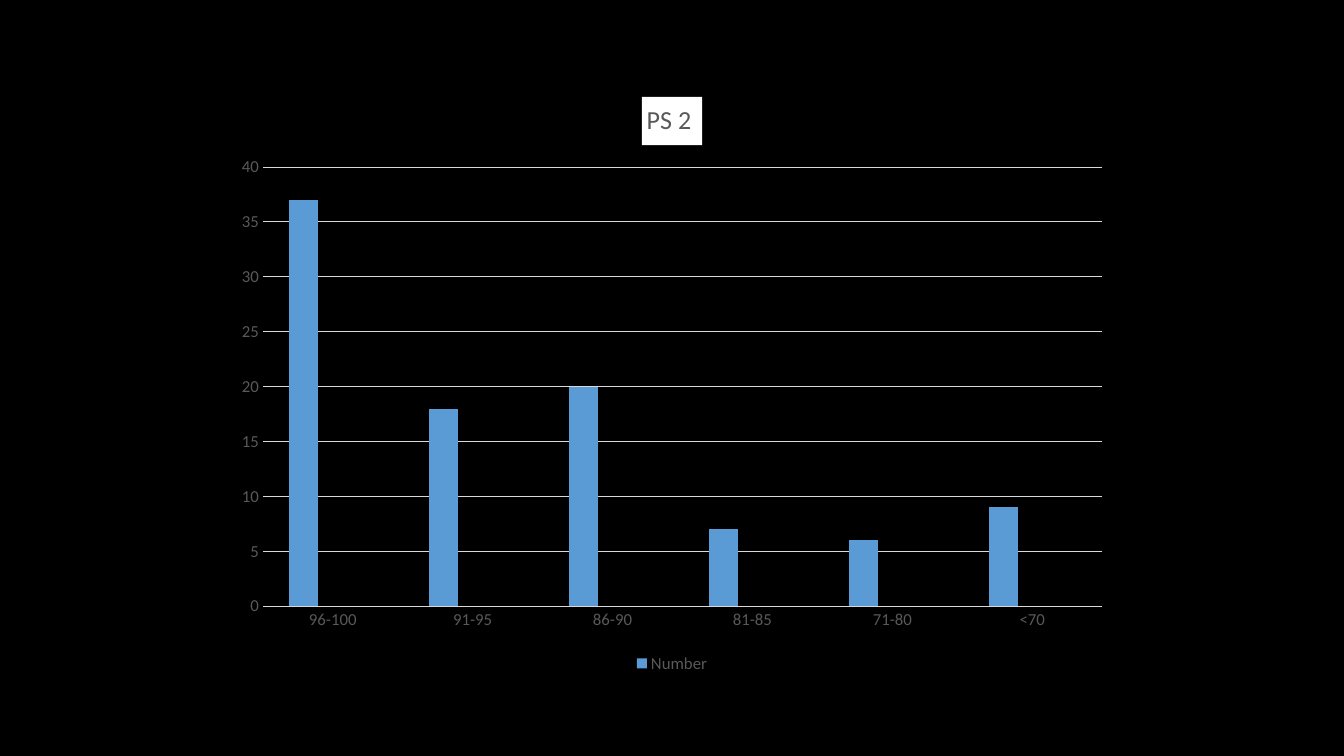
"""Build a slide with a column chart of PS 2 scores."""
import pptx
import pptx.chart.data
import pptx.dml.color
import pptx.enum.chart
import pptx.oxml
import pptx.util
from pptx.util import Inches

HUES = {"back": "000000", "text": "595959", "line": "D9D9D9", "title": "FFFFFF",
        "Number": "5B9BD5", "Series 2": "ED7D31", "Series 3": "A5A5A5"}
SCORES = {"96-100": 37, "91-95": 18, "86-90": 20, "81-85": 7, "71-80": 6, "<70": 9}


def paint(fill, hue):
    fill.solid()
    fill.fore_color.rgb = pptx.dml.color.RGBColor.from_string(HUES[hue])


def style(font, text=None, para=None, size=12, hue="text"):
    """Format a font, or a new run of text in a paragraph."""
    if text:
        run = para.add_run()
        run.text = text
        font = run.font
    font.name = "Calibri"
    font.size = pptx.util.Pt(size)
    font.bold = False
    paint(font.fill, hue)


deck = pptx.Presentation()
deck.slide_width, deck.slide_height = Inches(13.33), Inches(7.5)
slide = deck.slides.add_slide(deck.slide_layouts[6])
paint(slide.background.fill, "back")

data = pptx.chart.data.CategoryChartData()
data.categories = list(SCORES)
data.add_series("Number", list(SCORES.values()))
for name in ("Series 2", "Series 3"):
    data.add_series(name, [None] * len(SCORES))
chart = slide.shapes.add_chart(
    pptx.enum.chart.XL_CHART_TYPE.COLUMN_CLUSTERED,
    Inches(2.22), Inches(0.79), Inches(8.89), Inches(5.93), data).chart
style(chart.font, size=10, hue="back")

title = chart.chart_title
style(None, "PS 2 ", title.text_frame.paragraphs[0], size=18.6)
paint(title.format.fill, "title")
title.include_in_layout = False

plot = chart.plots[0]
plot.gap_width, plot.overlap = 182, 0
plot.vary_by_categories = False
for bar in plot.series:
    paint(bar.format.fill, bar.name)
    bar.invert_if_negative = False

rows, cols = chart.value_axis, chart.category_axis
for axis in (rows, cols):
    axis.major_tick_mark = pptx.enum.chart.XL_TICK_MARK.NONE
    axis.minor_tick_mark = pptx.enum.chart.XL_TICK_MARK.NONE
    style(axis.tick_labels.font)
rows.minimum_scale, rows.maximum_scale, rows.major_unit = 0, 40, 5
rows.has_major_gridlines = True
rows.format.line.fill.background()
for line in (rows.major_gridlines.format.line, cols.format.line):
    paint(line.fill, "line")
    line.width = pptx.util.Pt(0.75)

chart.has_legend = True
legend = chart.legend
legend.position = pptx.enum.chart.XL_LEGEND_POSITION.BOTTOM
legend.include_in_layout = False
style(legend.font)
space = pptx.oxml.ns.nsdecls("c")
for spot in (1, 2):
    entry = pptx.oxml.parse_xml(
        f'<c:legendEntry {space}><c:idx val="{spot}"/><c:delete val="1"/></c:legendEntry>')
    legend._element.insert(spot, entry)

deck.save("out.pptx")
